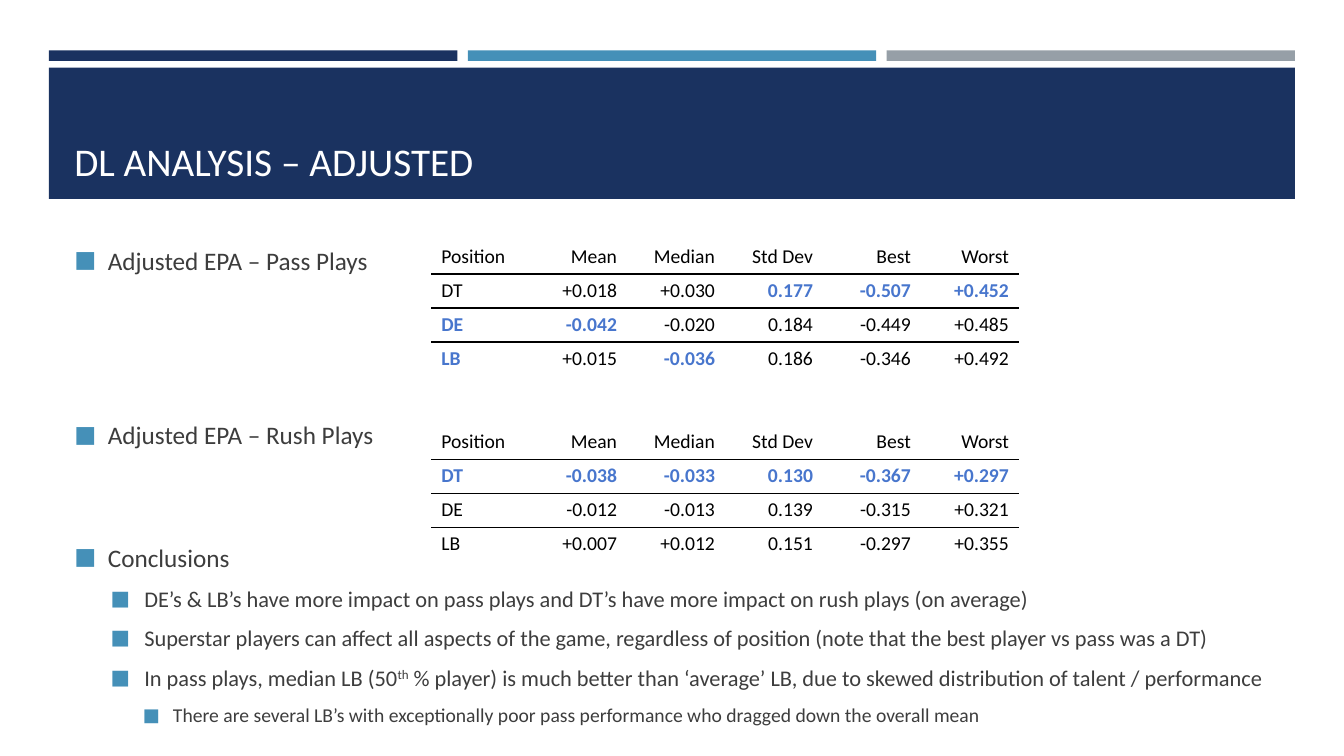
from dataclasses import dataclass

from lxml.etree import SubElement as Sub
from pptx import Presentation
from pptx.dml.color import RGBColor as RGB
from pptx.enum.shapes import MSO_SHAPE as SHAPE
from pptx.enum.text import MSO_ANCHOR as ANCHOR, PP_ALIGN as ALIGN
from pptx.oxml.ns import qn
from pptx.util import Emu, Inches, Pt


@dataclass(frozen=True)
class Theme:
    """Colours, font and type sizes of the slide."""
    font: str = "Calibri"
    navy: str = "1A3260"
    blue: str = "4590B8"
    grey: str = "969FA7"
    white: str = "FFFFFF"
    body: str = "3D3D3D"
    black: str = "000000"
    best: str = "4876CD"
    title_size: int = 28
    level_sizes: tuple = (18, 16, 14)
    table_size: int = 14


T = Theme()
prs = Presentation()
prs.slide_width, prs.slide_height = Inches(13.33), Inches(7.5)
COL, ROW = prs.slide_width / 96, prs.slide_height / 72
s = prs.slides.add_slide(prs.slide_layouts[6])


def grid(col, row, cols, rows):
    """Turn grid columns and rows into left, top, width and height."""
    return [Emu(round(n)) for n in (col * COL, row * ROW, cols * COL, rows * ROW)]


def write(p, text, size, color, bold=False, raised=False):
    """Add a formatted run to a paragraph."""
    r = p.add_run()
    r.text = text
    r.font.name, r.font.size, r.font.bold = T.font, Pt(size), bold
    r.font.color.rgb = RGB.from_string(color)
    if raised:
        r.font._element.set("baseline", "30000")


# Three bars above the title banner
LEFT, WIDTH, GAP = 3.5, 89, 0.75
bar = (WIDTH - 2 * GAP) / 3
blocks = [(LEFT + i * (bar + GAP), 4.8, bar, 1, color)
          for i, color in enumerate((T.navy, T.blue, T.grey))]
blocks.append((LEFT, 6.45, WIDTH, 12.5, T.navy))
for *box, color in blocks:
    sp = s.shapes.add_shape(SHAPE.RECTANGLE, *grid(*box))
    sp.shadow.inherit = False
    sp.fill.solid()
    sp.fill.fore_color.rgb = RGB.from_string(color)
    sp.line.fill.background()

# Title
TEXT_LEFT, TEXT_WIDTH = 4.6, 86.8
tf = s.shapes.add_textbox(*grid(TEXT_LEFT, 7.4, TEXT_WIDTH, 10.65)).text_frame
tf.word_wrap, tf.vertical_anchor = True, ANCHOR.BOTTOM
write(tf.paragraphs[0], "DL ANALYSIS – ADJUSTED", T.title_size, T.white)

# Bullets: level, space before in points, text pieces (every second one is raised)
bullets = [
    (0, 0, ["Adjusted EPA – Pass Plays"]),
    (0, 97, ["Adjusted EPA – Rush Plays"]),
    (0, 60, ["Conclusions"]),
    (1, 3, ["DE’s & LB’s have more impact on pass plays and DT’s have more "
            "impact on rush plays (on average)"]),
    (1, 3, ["Superstar players can affect all aspects of the game, regardless of "
            "position (note that the best player vs pass was a DT)"]),
    (1, 3, ["In pass plays, median LB (50", "th",
            " % player) is much better than ‘average’ LB, due to skewed "
            "distribution of talent / performance"]),
    (2, 3, ["There are several LB’s with exceptionally poor pass performance "
            "who dragged down the overall mean"]),
]
INDENTS = [(2.4, 2.4), (5, 2.4), (7.05, 2.15)]
tf = s.shapes.add_textbox(*grid(TEXT_LEFT, 22.85, TEXT_WIDTH, 49.15)).text_frame
tf.word_wrap = True
for i, (level, before, pieces) in enumerate(bullets):
    p = tf.add_paragraph() if i else tf.paragraphs[0]
    p.level, p.space_before, p.space_after = level, Pt(before), Pt(6)
    pPr = p._p.get_or_add_pPr()
    margin, hang = INDENTS[level]
    pPr.set("marL", str(round(margin * COL)))
    pPr.set("indent", str(round(-hang * COL)))
    Sub(Sub(pPr, qn("a:buClr")), qn("a:srgbClr"), val=T.blue)
    Sub(pPr, qn("a:buSzPct"), val="92000")
    Sub(pPr, qn("a:buFont"), typeface=T.font)
    Sub(pPr, qn("a:buChar"), char="■")
    for j, piece in enumerate(pieces):
        write(p, piece, T.level_sizes[level], T.body, raised=j % 2 == 1)

# Tables: a leading * marks the best value
HEADER = "Position Mean Median Std_Dev Best Worst"
tables = [
    (22.85, [HEADER,
             "DT +0.018 +0.030 *0.177 *-0.507 *+0.452",
             "*DE *-0.042 -0.020 0.184 -0.449 +0.485",
             "*LB +0.015 *-0.036 0.186 -0.346 +0.492"]),
    (40.5, [HEADER,
            "*DT *-0.038 *-0.033 *0.130 *-0.367 *+0.297",
            "DE -0.012 -0.013 0.139 -0.315 +0.321",
            "LB +0.007 +0.012 0.151 -0.297 +0.355"]),
]
NO_STYLE = "{2D5ABB26-0587-4C30-8999-92F81FD0307C}"
RULES = {0: ["a:lnB"], 1: ["a:lnT", "a:lnB"], 2: ["a:lnT"]}
for top, lines in tables:
    table = s.shapes.add_table(4, 6, *grid(30.8, top, 42, 4 * 3.24)).table
    table.first_row = table.horz_banding = False
    table._tbl.tblPr.find(qn("a:tableStyleId")).text = NO_STYLE
    for i, line in enumerate(lines):
        for j, value in enumerate(line.split()):
            cell = table.cell(i, j)
            for side in RULES.get(i, []):
                ln = Sub(cell._tc.get_or_add_tcPr(), qn(side), w=str(Pt(1)))
                Sub(Sub(ln, qn("a:solidFill")), qn("a:srgbClr"), val=T.black)
            cell.fill.background()
            p = cell.text_frame.paragraphs[0]
            p.alignment = ALIGN.RIGHT if j else ALIGN.LEFT
            best = value.startswith("*")
            write(p, value.lstrip("*").replace("_", " "), T.table_size,
                  T.best if best else T.black, bold=best)

prs.save("out.pptx")
